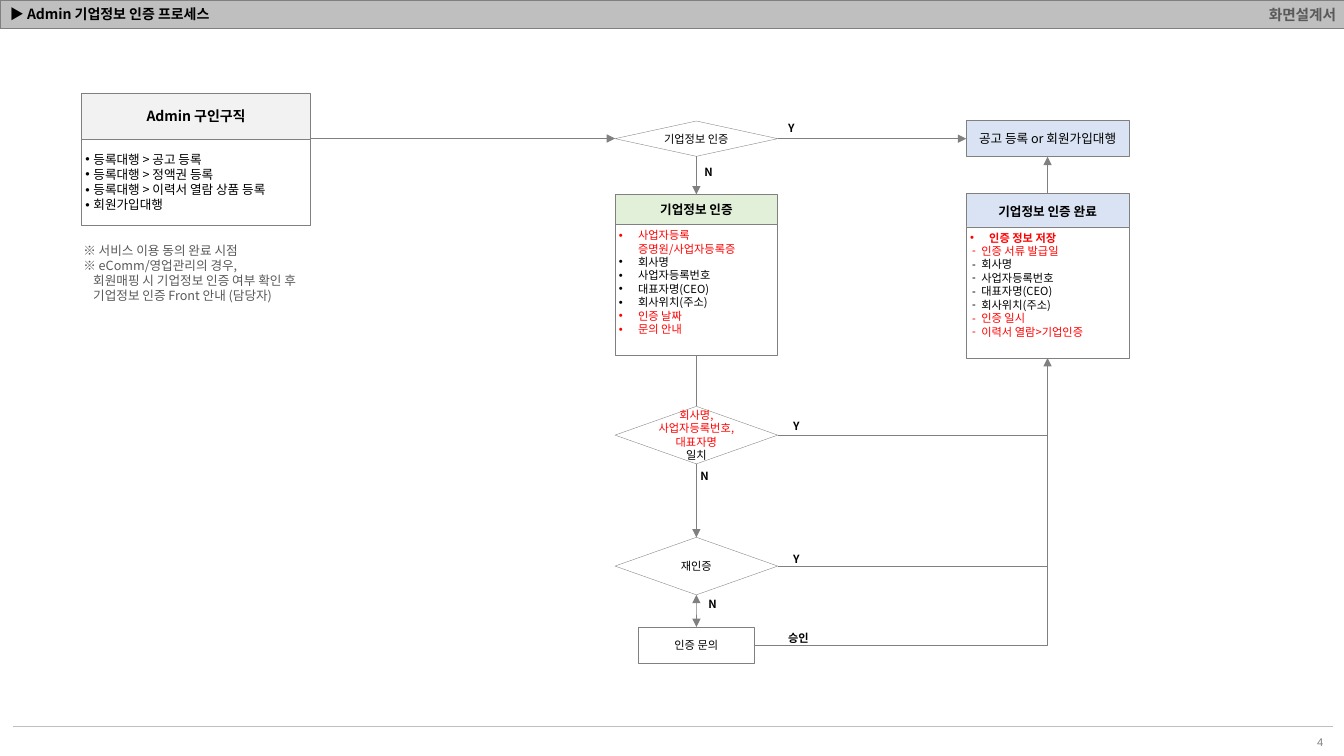
from lxml import etree
from pptx import Presentation
from pptx.dml.color import RGBColor
from pptx.enum.shapes import MSO_CONNECTOR, MSO_SHAPE
from pptx.enum.text import MSO_ANCHOR, PP_ALIGN
from pptx.oxml.ns import qn
from pptx.util import Cm, Pt

RECT, DECISION = MSO_SHAPE.RECTANGLE, MSO_SHAPE.FLOWCHART_DECISION
STRAIGHT, ELBOW = MSO_CONNECTOR.STRAIGHT, MSO_CONNECTOR.ELBOW
LEFT, CENTER, RIGHT = PP_ALIGN.LEFT, PP_ALIGN.CENTER, PP_ALIGN.RIGHT
TOP, MIDDLE = MSO_ANCHOR.TOP, MSO_ANCHOR.MIDDLE
TOP_SITE, LEFT_SITE, BOTTOM_SITE, RIGHT_SITE = range(4)

FONT, HEADER_FONT = "Noto Sans CJK KR", "Arial"
COLORS = {
    "black": "000000", "red": "FF0000", "white": "FFFFFF", "line": "808080",
    "dark": "595959", "bar": "BFBFBF", "gray": "F2F2F2", "green": "E2F0D9",
    "blue": "DAE3F3",
}
SLIDE_W, SLIDE_H = 33.87, 19.05
ADMIN_X, CHECK_X, DONE_X = 4.94, 17.55, 26.4  # column centres
ADMIN_W, STEP_W = 5.77, 4.1
FLOW_Y = 3.49  # height of the first row of arrows

RED = {"color": "red"}
DOT = {"bullet": "•", "indent": 0.48}
NARROW_DOT = {"bullet": "•", "indent": 0.2}
DASH = {"bullet": "-", "indent": 0.28, "hang": 0.23}
HEAD = {"size": 9, "bold": True}
LIST = {"align": LEFT, "anchor": TOP, "margins": (0.1, 0.1, 0, 0.1)}

TITLE = "▶ Admin 기업정보 인증 프로세스"
DOCUMENT, PAGE = "화면설계서", "4"
NOTES = [
    "※ 서비스 이용 동의 완료 시점",
    "※ eComm/영업관리의 경우,",
    ("회원매핑 시 기업정보 인증 여부 확인 후", {"indent": 0.25, "hang": 0}),
    ("기업정보 인증 Front 안내 (담당자)", {"indent": 0.25, "hang": 0}),
]
ADMIN_MENU = [(t, NARROW_DOT) for t in (
    "등록대행 > 공고 등록", "등록대행 > 정액권 등록",
    "등록대행 > 이력서 열람 상품 등록", "회원가입대행")]
CHECK_ITEMS = [
    ("사업자등록 증명원/사업자등록증", DOT | RED), ("회사명", DOT),
    ("사업자등록번호", DOT), ("대표자명(CEO)", DOT), ("회사위치(주소)", DOT),
    ("인증 날짜", DOT | RED), ("문의 안내", DOT | RED),
]
SAVED_ITEMS = [
    ("인증 정보 저장", DOT | RED | {"bold": True}),
    ("인증 서류 발급일", DASH | RED), ("회사명", DASH),
    ("사업자등록번호", DASH), ("대표자명(CEO)", DASH), ("회사위치(주소)", DASH),
    ("인증 일시", DASH | RED), ("이력서 열람>기업인증", DASH | RED),
]
MATCH = [("회사명,", RED), ("사업자등록번호,", RED), ("대표자명", RED), "일치"]

# name: (preset, centre x, top, width, height, fill, paragraphs, text format)
STEPS = {
    "admin": (RECT, ADMIN_X, 2.34, ADMIN_W, 1.17, "gray", ["Admin 구인구직"],
              {"size": 10, "bold": True}),
    "admin menu": (RECT, ADMIN_X, 3.51, ADMIN_W, 2.16, "white", ADMIN_MENU,
                   LIST | {"size": 9, "anchor": MIDDLE}),
    "verified": (DECISION, CHECK_X, 3.05, STEP_W, 0.89, "white",
                 ["기업정보 인증"], {"wrap": False}),
    "check": (RECT, CHECK_X, 4.9, STEP_W, 0.76, "green", ["기업정보 인증"], HEAD),
    "check items": (RECT, CHECK_X, 5.66, STEP_W, 3.3, "white", CHECK_ITEMS, LIST),
    "match": (DECISION, CHECK_X, 10.24, STEP_W, 1.45, "white", MATCH,
              {"wrap": False}),
    "retry": (DECISION, CHECK_X, 13.54, STEP_W, 1.45, "white", ["재인증"],
              {"wrap": False}),
    "inquiry": (RECT, CHECK_X, 15.8, 2.93, 0.91, None, ["인증 문의"], {}),
    "done": (RECT, DONE_X, 4.88, STEP_W, 0.91, "blue", ["기업정보 인증 완료"], HEAD),
    "saved items": (RECT, DONE_X, 5.72, STEP_W, 3.3, "white", SAVED_ITEMS, LIST),
    "register": (RECT, DONE_X, 3.04, STEP_W, 0.91, "blue",
                 ["공고 등록 or 회원가입대행"], {"size": 9}),
}
# (from, site, to, site, kind, arrowheads)
LINKS = [
    ("verified", RIGHT_SITE, "register", LEFT_SITE, STRAIGHT, ["tailEnd"]),
    ("verified", BOTTOM_SITE, "check", TOP_SITE, STRAIGHT, ["tailEnd"]),
    ("check items", BOTTOM_SITE, "match", TOP_SITE, STRAIGHT, []),
    ("match", BOTTOM_SITE, "retry", TOP_SITE, STRAIGHT, ["tailEnd"]),
    ("retry", BOTTOM_SITE, "inquiry", TOP_SITE, STRAIGHT, ["headEnd", "tailEnd"]),
    ("done", TOP_SITE, "register", BOTTOM_SITE, STRAIGHT, ["tailEnd"]),
    ("match", RIGHT_SITE, "saved items", BOTTOM_SITE, ELBOW, ["tailEnd"]),
    ("retry", RIGHT_SITE, "saved items", BOTTOM_SITE, ELBOW, []),
    ("inquiry", RIGHT_SITE, "saved items", BOTTOM_SITE, ELBOW, []),
]
LABELS = [
    ("Y", 19.76, 2.97), ("N", 17.65, 4.06), ("Y", 19.89, 10.46),
    ("N", 17.55, 11.73), ("Y", 19.89, 13.82), ("N", 17.75, 14.96),
    ("승인", 19.76, 15.8),
]


def rgb(name):
    """Return the named colour."""
    return RGBColor.from_string(COLORS[name])


def add_para(p, text, size=8, bold=False, color="black", font=FONT, align=LEFT,
             bullet=None, indent=0, hang=None):
    """Fill one paragraph, with an optional bullet and indent."""
    p.alignment = align
    r = p.add_run()
    r.text = text
    r.font.name, r.font.size, r.font.bold = font, Pt(size), bold
    r.font.color.rgb = rgb(color)
    etree.SubElement(r.font._element, qn("a:ea")).set("typeface", FONT)
    ppr = p._p.get_or_add_pPr()
    if indent:
        ppr.set("marL", str(Cm(indent)))
        ppr.set("indent", str(-Cm(indent if hang is None else hang)))
    if bullet:
        etree.SubElement(ppr, qn("a:buFont")).set("typeface", "Arial")
        etree.SubElement(ppr, qn("a:buChar")).set("char", bullet)


def write(tf, paras, anchor=MIDDLE, margins=(0, 0, 0, 0), wrap=True, **fmt):
    """Write paragraphs, each a text or a (text, format) pair."""
    tf.word_wrap, tf.vertical_anchor = wrap, anchor
    (tf.margin_left, tf.margin_top,
     tf.margin_right, tf.margin_bottom) = map(Cm, margins)
    for i, para in enumerate(paras):
        text, own = (para, {}) if isinstance(para, str) else para
        p = tf.add_paragraph() if i else tf.paragraphs[0]
        add_para(p, text, **(fmt | own))


def add_text(slide, paras, x, y, w, h, **fmt):
    """Add a text box."""
    box = slide.shapes.add_textbox(Cm(x), Cm(y), Cm(w), Cm(h))
    write(box.text_frame, paras, **fmt)


def add_step(slide, preset, cx, y, w, h, fill, paras, fmt):
    """Add one step of the flow, centred on its column."""
    sp = slide.shapes.add_shape(preset, Cm(cx - w / 2), Cm(y), Cm(w), Cm(h))
    sp.shadow.inherit = False
    if fill:
        sp.fill.solid()
        sp.fill.fore_color.rgb = rgb(fill)
    else:
        sp.fill.background()
    sp.line.color.rgb, sp.line.width = rgb("line"), Pt(0.25)
    write(sp.text_frame, paras, **({"align": CENTER} | fmt))
    return sp


def add_line(slide, kind, ends=(0, 0, 0, 0), color="line", width=0.5, heads=()):
    """Add a connector with the given arrowheads."""
    line = slide.shapes.add_connector(kind, *map(Cm, ends))
    line.line.color.rgb, line.line.width = rgb(color), Pt(width)
    for head in heads:
        etree.SubElement(line.line._get_or_add_ln(), qn("a:" + head)).set(
            "type", "triangle")
    sppr = line._element.spPr
    etree.SubElement(sppr, qn("a:effectLst"))
    if kind == ELBOW:
        sppr.find(qn("a:prstGeom")).set("prst", "bentConnector2")
    return line


def add_header(slide):
    """Add the header bar behind the title, then set the title."""
    frame = slide.shapes.add_table(1, 1, 0, 0, Cm(SLIDE_W), Cm(0.72))
    slide.shapes._spTree.insert(2, frame._element)
    cell = frame.table.cell(0, 0)
    cell.margin_left = cell.margin_right = Cm(0.2)
    cell.margin_top = cell.margin_bottom = Cm(0.05)
    cell.vertical_anchor = MIDDLE
    add_para(cell.text_frame.paragraphs[0], DOCUMENT, size=10.5, bold=True,
             color="dark", font=HEADER_FONT, align=RIGHT)
    tcpr = cell._tc.get_or_add_tcPr()
    for side in ("lnL", "lnR", "lnT", "lnB"):
        ln = etree.SubElement(tcpr, qn("a:" + side), w=str(Pt(0.25)))
        fill = etree.SubElement(ln, qn("a:solidFill"))
        etree.SubElement(fill, qn("a:srgbClr")).set("val", COLORS["line"])
    cell.fill.solid()
    cell.fill.fore_color.rgb = rgb("bar")

    title = slide.shapes.title
    title.left, title.top, title.width, title.height = map(Cm, (0, 0, 25.2, 0.74))
    write(title.text_frame, [TITLE], margins=(0.25, 0.13, 0.25, 0.13),
          size=10, bold=True)
    title.text_frame.paragraphs[0].line_spacing = 0.9


prs = Presentation()
prs.slide_width, prs.slide_height = Cm(SLIDE_W), Cm(SLIDE_H)
slide = prs.slides.add_slide(prs.slide_layouts[5])
add_header(slide)
add_line(slide, STRAIGHT, (0.33, 18.31, 33.6, 18.31), color="bar", width=0.75)
add_text(slide, [PAGE], 32.41, 18.39, 1.19, 0.53, margins=(0.25, 0.13, 0.25, 0.13),
         color="line", font=HEADER_FONT, align=RIGHT, anchor=TOP)

steps = {name: add_step(slide, *step) for name, step in STEPS.items()}
for start, start_site, end, end_site, kind, heads in LINKS:
    line = add_line(slide, kind, heads=heads)
    line.begin_connect(steps[start], start_site)
    line.end_connect(steps[end], end_site)
add_line(slide, STRAIGHT, (ADMIN_X + ADMIN_W / 2, FLOW_Y, CHECK_X - STEP_W / 2, FLOW_Y),
         heads=["tailEnd"])

for text, x, y in LABELS:
    add_text(slide, [text], x, y, 1, 0.53, anchor=TOP, bold=True,
             margins=(0.1, 0.1, 0.1, 0.1))
add_text(slide, NOTES, 1.85, 5.99, 6.76, 1.8, anchor=TOP, wrap=False, size=9,
         color="dark", margins=(0.25, 0.13, 0.25, 0.13))
prs.save("out.pptx")
